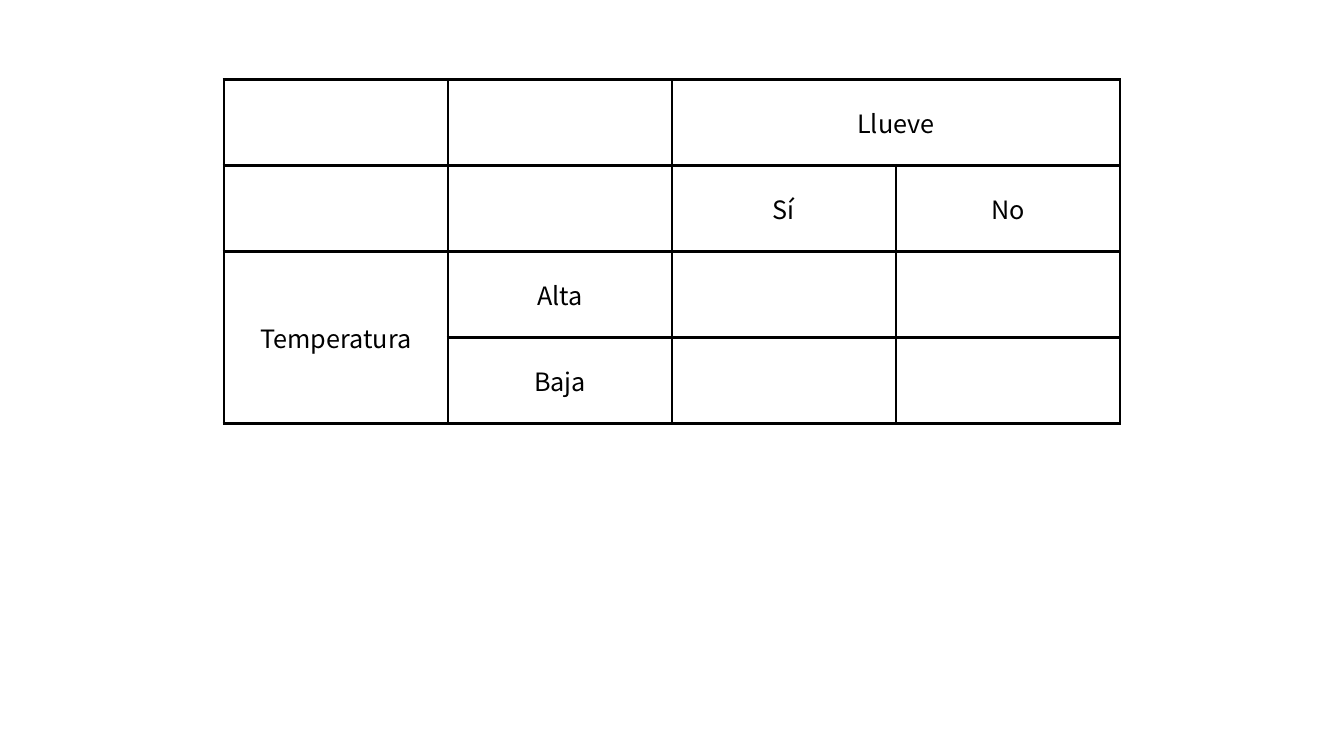
from lxml import etree
from pptx import Presentation
from pptx.dml.color import RGBColor
from pptx.enum.text import MSO_ANCHOR, PP_ALIGN
from pptx.oxml.ns import qn
from pptx.util import Pt

MIDDLE = MSO_ANCHOR.MIDDLE
CENTER = PP_ALIGN.CENTER

COLORS = {"ink": "000000"}
FONT = "Noto Sans CJK SC"
SIZE = Pt(18)
LINE = Pt(2.25)

LEFT, TOP = 160, 56.7
COL, ROW = 160, 61.4

LABELS = [
    ["", "", "Llueve", ""],
    ["", "", "Sí", "No"],
    ["Temperatura", "Alta", "", ""],
    ["", "Baja", "", ""],
]
# Merged areas: first and last cell
SPANS = [((0, 2), (0, 3)), ((2, 0), (3, 0))]


def add_edges(cell):
    """Draw a solid line on all four sides of a cell."""
    props = cell._tc.get_or_add_tcPr()
    for spot, side in enumerate(("lnL", "lnR", "lnT", "lnB")):
        line = etree.Element(qn(f"a:{side}"), w=str(int(LINE)))
        fill = etree.SubElement(line, qn("a:solidFill"))
        etree.SubElement(fill, qn("a:srgbClr"), val=COLORS["ink"])
        props.insert(spot, line)


def add_label(cell, text):
    """Write centred text in a cell."""
    cell.vertical_anchor = MIDDLE
    para = cell.text_frame.paragraphs[0]
    para.alignment = CENTER
    run = para.add_run()
    run.text = text
    run.font.name = FONT
    run.font.size = SIZE
    run.font.color.rgb = RGBColor.from_string(COLORS["ink"])


def add_grid(slide):
    """Build the table of rain against temperature."""
    rows, cols = len(LABELS), len(LABELS[0])
    frame = slide.shapes.add_table(
        rows, cols, Pt(LEFT), Pt(TOP), Pt(COL * cols), Pt(ROW * rows))
    table = frame.table
    table.first_row = False
    table.horz_banding = False
    for col in table.columns:
        col.width = Pt(COL)
    for row in table.rows:
        row.height = Pt(ROW)

    # Merged headings
    for first, last in SPANS:
        table.cell(*first).merge(table.cell(*last))

    # Cell style and text
    for r, row in enumerate(LABELS):
        for c, text in enumerate(row):
            cell = table.cell(r, c)
            cell.fill.background()
            add_edges(cell)
            if text:
                add_label(cell, text)


def main():
    deck = Presentation()
    deck.slide_width, deck.slide_height = Pt(960), Pt(540)
    slide = deck.slides.add_slide(deck.slide_layouts[6])
    add_grid(slide)
    deck.save("out.pptx")


if __name__ == "__main__":
    main()
